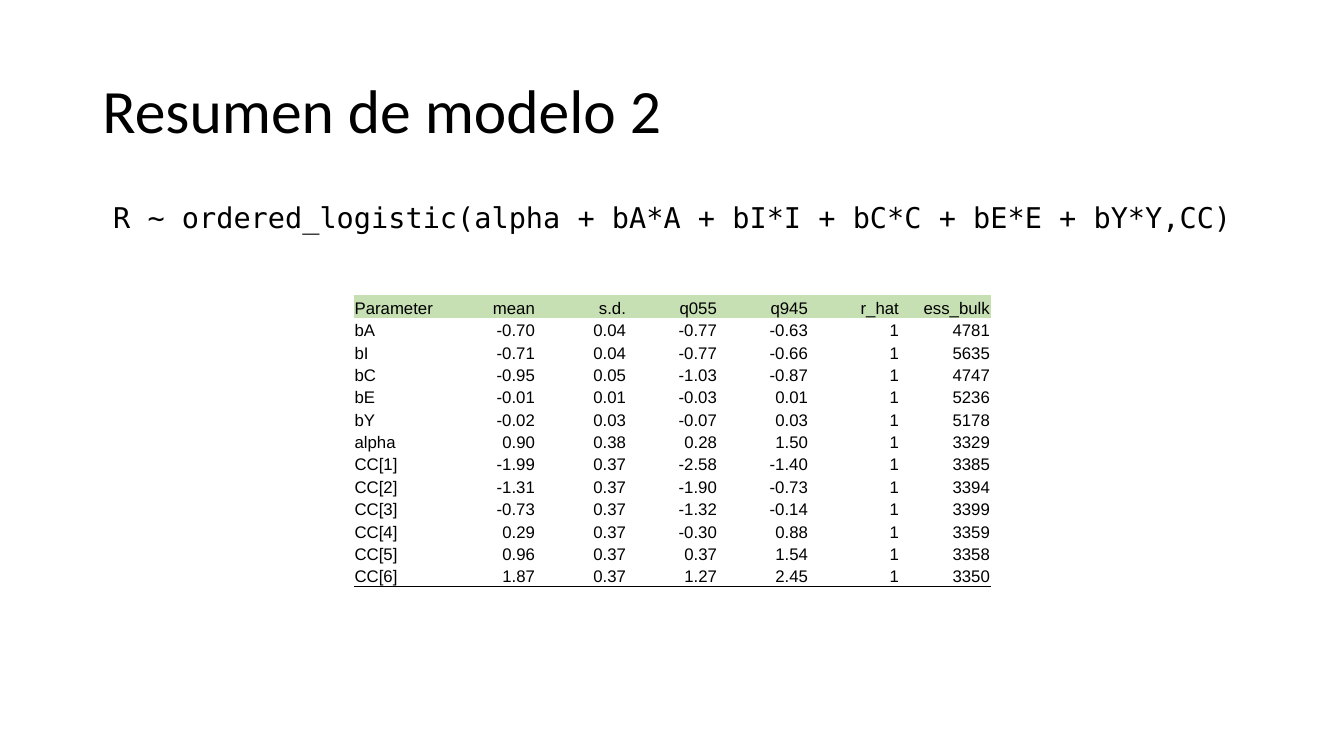
import pptx
import pptx.dml.color
import pptx.enum.text
import pptx.oxml
import pptx.oxml.ns
import pptx.util

Pt = pptx.util.Pt
ALIGN = pptx.enum.text.PP_ALIGN
ANCHOR = pptx.enum.text.MSO_ANCHOR
NO_STYLE = "{2D5ABB26-0587-4C30-8999-92F81FD0307C}"
BLACK, GREEN = "000000", "C6E0B4"

HEADER = ["Parameter", "mean", "s.d.", "q055", "q945", "r_hat", "ess_bulk"]
ESTIMATES = [
    ["bA", "-0.70", "0.04", "-0.77", "-0.63", "1", "4781"],
    ["bI", "-0.71", "0.04", "-0.77", "-0.66", "1", "5635"],
    ["bC", "-0.95", "0.05", "-1.03", "-0.87", "1", "4747"],
    ["bE", "-0.01", "0.01", "-0.03", "0.01", "1", "5236"],
    ["bY", "-0.02", "0.03", "-0.07", "0.03", "1", "5178"],
    ["alpha", "0.90", "0.38", "0.28", "1.50", "1", "3329"],
    ["CC[1]", "-1.99", "0.37", "-2.58", "-1.40", "1", "3385"],
    ["CC[2]", "-1.31", "0.37", "-1.90", "-0.73", "1", "3394"],
    ["CC[3]", "-0.73", "0.37", "-1.32", "-0.14", "1", "3399"],
    ["CC[4]", "0.29", "0.37", "-0.30", "0.88", "1", "3359"],
    ["CC[5]", "0.96", "0.37", "0.37", "1.54", "1", "3358"],
    ["CC[6]", "1.87", "0.37", "1.27", "2.45", "1", "3350"],
]


def rgb(color):
    """Turn a hex string into a colour."""
    return pptx.dml.color.RGBColor.from_string(color)


def add_run(p, text, size, font, align):
    """Add one black run to a paragraph and align the paragraph."""
    p.alignment = align
    r = p.add_run()
    r.text = text
    r.font.size, r.font.name = Pt(size), font
    r.font.color.rgb = rgb(BLACK)


def place(sp, box, anchor):
    """Move a placeholder to its box and return its text frame."""
    sp.left, sp.top, sp.width, sp.height = (Pt(v) for v in box)
    tf = sp.text_frame
    tf.word_wrap = True
    tf.auto_size = pptx.enum.text.MSO_AUTO_SIZE.NONE
    tf.vertical_anchor = anchor
    return tf


def add_title(s, box, text):
    """Fill the title placeholder."""
    p = place(s.shapes.title, box, ANCHOR.MIDDLE).paragraphs[0]
    p.line_spacing = 0.9
    add_run(p, text, 44, "Calibri", ALIGN.LEFT)


def add_formula(s, box, text):
    """Fill the body placeholder with the unbulleted model formula."""
    p = place(s.placeholders[1], box, ANCHOR.TOP).paragraphs[0]
    p.line_spacing, p.space_before = 0.8, Pt(10)
    add_run(p, text, 20.4, "DejaVu Sans Mono", ALIGN.CENTER)
    pPr = p._p.get_or_add_pPr()
    pPr.set("marL", "0")
    pPr.set("indent", "0")
    pPr.append(pptx.oxml.parse_xml(
        f"<a:buNone {pptx.oxml.ns.nsdecls('a')}/>"))


def rule_below(cell, color, width):
    """Draw a bottom border on a cell."""
    cell._tc.get_or_add_tcPr().insert(0, pptx.oxml.parse_xml(
        f'<a:lnB {pptx.oxml.ns.nsdecls("a")} w="{Pt(width)}"><a:solidFill>'
        f'<a:srgbClr val="{color}"/></a:solidFill></a:lnB>'))


def add_summary(s, box, rows):
    """Add the table of estimates, with equal columns and rows."""
    left, top, width, height = box
    n_rows, n_cols = len(rows), len(rows[0])
    table = s.shapes.add_table(n_rows, n_cols, *(Pt(v) for v in box)).table
    table.first_row = table.horz_banding = False
    table._tbl.tblPr.find(pptx.oxml.ns.qn("a:tableStyleId")).text = NO_STYLE
    for col in table.columns:
        col.width = Pt(width / n_cols)
    for i, values in enumerate(rows):
        table.rows[i].height = Pt(height / n_rows)
        for j, value in enumerate(values):
            cell = table.cell(i, j)
            cell.margin_left = cell.margin_right = cell.margin_top = Pt(0.6)
            cell.margin_bottom = Pt(0)
            cell.vertical_anchor = ANCHOR.BOTTOM
            if i == 0:
                cell.fill.solid()
                cell.fill.fore_color.rgb = rgb(GREEN)
            else:
                cell.fill.background()
            if i == n_rows - 1:
                rule_below(cell, BLACK, 0.5)
            add_run(cell.text_frame.paragraphs[0], value, 12, "Arial",
                    ALIGN.RIGHT if j else ALIGN.LEFT)


prs = pptx.Presentation()
prs.slide_width, prs.slide_height = Pt(960), Pt(540)
s = prs.slides.add_slide(prs.slide_layouts[1])
add_title(s, (66, 28.75, 828, 104.4), "Resumen de modelo 2")
add_formula(s, (66, 144, 828, 37.5),
            "R ~ ordered_logistic(alpha + bA*A + bI*I + bC*C + bE*E + bY*Y,CC)")
add_summary(s, (252.7, 211, 455, 208), [HEADER] + ESTIMATES)
prs.save("out.pptx")
